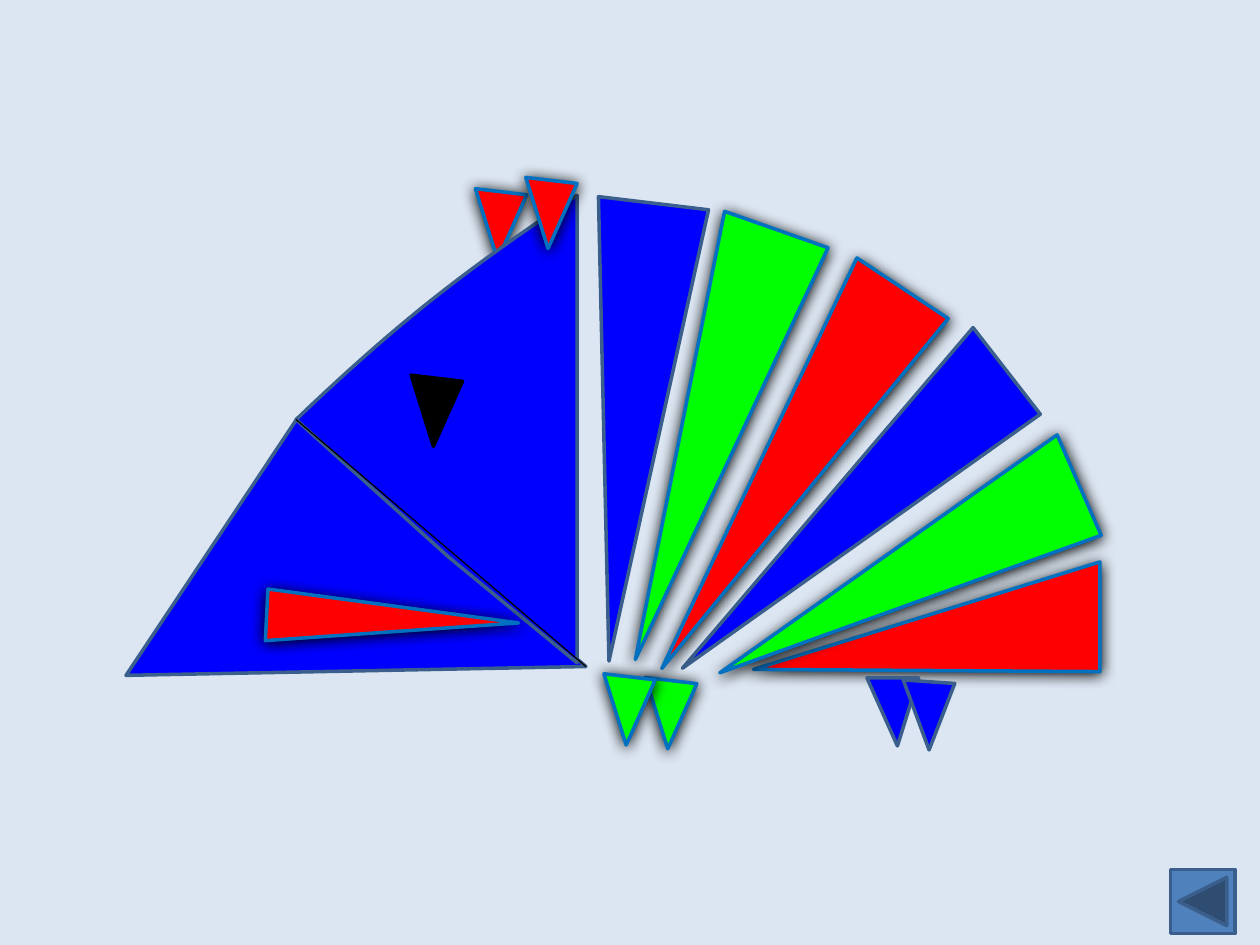
from lxml import etree
from pptx import Presentation
from pptx.dml.color import RGBColor
from pptx.enum import shapes as kinds
from pptx.oxml.ns import qn
from pptx.util import Inches, Pt

THEME = {
    "background": "DCE6F2", "blue": "0000FF", "red": "FF0000",
    "green": "00FF00", "black": "000000", "button": "4F81BD",
    "plain edge": "3A5F8C", "bright edge": "0070C0",
    "edge width": 2, "crease width": 0.75,
    "shadow blur": 8.5, "shadow distance": 1,
}
# Fill colour: (edge colour, casts a shadow)
FINISH = {
    "blue": ("plain edge", False), "button": ("plain edge", False),
    "black": ("black", False),
    "red": ("bright edge", True), "green": ("bright edge", True),
}
SMALL = (0.41, 0.54)
APEX = 0.41

# Triangles: colour, (left, top), (width, height), rotation, apex position
REAR_BLADES = [
    ("red", (6.92, 3.52), (0.87, 2.75), 270, 0.02),
    ("green", (6.66, 2.89), (0.87, 3.21), 246.3, 0.25),
    ("blue", (6.18, 2.27), (0.87, 3.48), 232.2, 0.17),
]
FAR_EAR = [("red", (3.74, 1.52), SMALL, 186.8, APEX)]
FRONT_BLADES = [
    ("red", (5.74, 1.99), (0.87, 3.57), 213.6, APEX),
    ("green", (5.13, 1.72), (0.87, 3.59), 199.4, APEX),
    ("blue", (4.53, 1.6), (0.88, 3.65), 186.8, APEX),
]
NEAR_EAR = [("red", (4.14, 1.43), SMALL, 186.8, APEX)]
EYE = [("black", (3.23, 3), SMALL, 186.8, APEX)]
MOUTH = [("red", (2.91, 3.93), (0.41, 2), 92.9, APEX)]
FEET = [
    ("green", (5.09, 5.4), SMALL, 186.8, APEX),
    ("green", (4.76, 5.37), SMALL, 186.8, APEX),
    ("blue", (6.88, 5.38), SMALL, 180, APEX),
    ("blue", (7.15, 5.41), SMALL, 183.9, APEX),
]

SNOUT = (2.35, 3.33)
THROAT = (4.65, 5.29)
JAW = [(2.36, 3.32), THROAT, (1, 5.36)]
CROWN = [(4.58, 1.55), (3.8, 2.08), (3.27, 2.45), SNOUT]
HEAD_BASE = [(3.56, 4.42), (4.58, 5.26)]
BUTTON_PLACE, BUTTON_SIZE = (9.29, 6.9), (0.51, 0.51)


def rgb(name):
    return RGBColor.from_string(THEME[name])


def curve(controls, steps=24):
    """Points along a cubic Bezier curve."""
    points = []
    for step in range(steps + 1):
        t = step / steps
        weights = ((1 - t) ** 3, 3 * t * (1 - t) ** 2, 3 * t * t * (1 - t), t ** 3)
        points.append(tuple(sum(w * p[axis] for w, p in zip(weights, controls))
                            for axis in (0, 1)))
    return points


def finish(part, colour):
    """Give a part the fill, edge and shadow that go with its colour."""
    edge, casts_shadow = FINISH[colour]
    part.fill.solid()
    part.fill.fore_color.rgb = rgb(colour)
    part.line.color.rgb = rgb(edge)
    part.line.width = Pt(THEME["edge width"])
    part.shadow.inherit = False
    if casts_shadow:
        effects = part._element.spPr.find(qn("a:effectLst"))
        shadow = etree.SubElement(
            effects, qn("a:outerShdw"), blurRad=str(Pt(THEME["shadow blur"])),
            dist=str(Pt(THEME["shadow distance"])), dir="5400000", rotWithShape="0")
        etree.SubElement(shadow, qn("a:srgbClr"), val=THEME["black"])


def add_preset(slide, kind, colour, place, size):
    part = slide.shapes.add_shape(kind, *map(Inches, place + size))
    finish(part, colour)
    return part


def add_triangles(slide, triangles):
    for colour, place, size, rotation, apex in triangles:
        triangle = add_preset(slide, kinds.MSO_SHAPE.ISOSCELES_TRIANGLE,
                              colour, place, size)
        triangle.adjustments[0] = apex
        triangle.rotation = rotation


def add_outline(slide, colour, points):
    start, *others = [(Inches(x), Inches(y)) for x, y in points]
    builder = slide.shapes.build_freeform(*start)
    builder.add_line_segments(others, close=True)
    finish(builder.convert_to_shape(), colour)


def add_crease(slide, start, end):
    crease = slide.shapes.add_connector(kinds.MSO_CONNECTOR.STRAIGHT,
                                        *map(Inches, start + end))
    crease.line.color.rgb = rgb("black")
    crease.line.width = Pt(THEME["crease width"])
    etree.SubElement(crease._element.spPr, qn("a:effectLst"))


def add_back_button(slide):
    button = add_preset(slide, kinds.MSO_SHAPE.ACTION_BUTTON_FORWARD_OR_NEXT,
                        "button", BUTTON_PLACE, BUTTON_SIZE)
    button._element.spPr.find(qn("a:xfrm")).set("flipH", "1")


def main():
    deck = Presentation()
    deck.slide_width, deck.slide_height = Inches(10), Inches(7.5)
    slide = deck.slides.add_slide(deck.slide_layouts[6])
    slide.background.fill.solid()
    slide.background.fill.fore_color.rgb = rgb("background")

    add_triangles(slide, REAR_BLADES)
    add_outline(slide, "blue", JAW)
    add_triangles(slide, FAR_EAR + FRONT_BLADES)
    add_outline(slide, "blue", curve(CROWN) + HEAD_BASE)
    add_triangles(slide, NEAR_EAR + EYE + MOUTH + FEET)
    add_crease(slide, SNOUT, THROAT)
    add_back_button(slide)
    deck.save("out.pptx")


if __name__ == "__main__":
    main()
